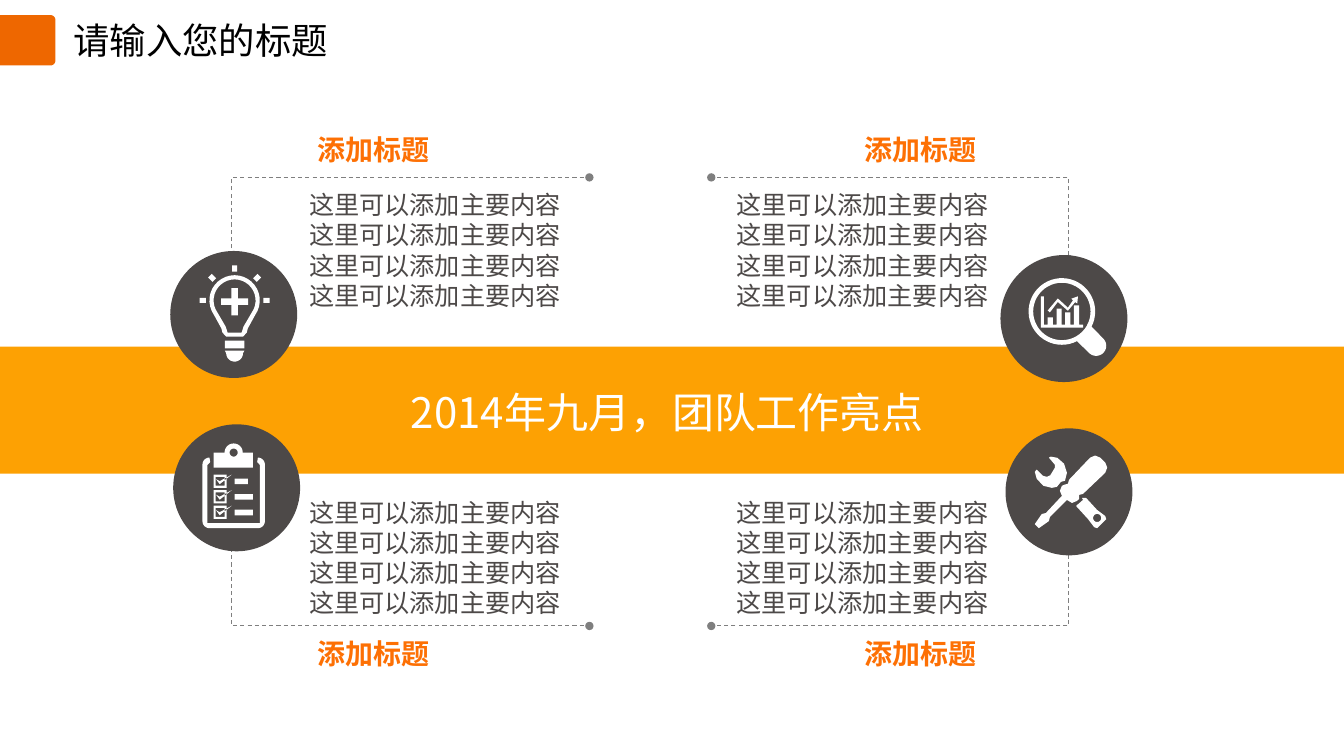
"""Build a slide of four team highlights around a central banner."""
from math import cos, radians, sin

from lxml.etree import SubElement
from pptx import Presentation
from pptx.dml.color import RGBColor
from pptx.enum.dml import MSO_LINE
from pptx.enum.shapes import MSO_SHAPE
from pptx.enum.text import PP_ALIGN
from pptx.oxml.ns import qn
from pptx.util import Pt

WHITE, BLACK, CHARCOAL, GREY = "FFFFFF", "000000", "4D4948", "7F7F7F"
AMBER, ORANGE, DEEP_ORANGE = "FDA103", "FD7004", "EE6700"
BADGE_SIZE = 90.7


def color(value):
    return RGBColor.from_string(value)


def arc(cx, cy, radius, start, end, steps=24):
    angles = [radians(start + (end - start) * i / steps) for i in range(steps + 1)]
    return [(cx + radius * cos(a), cy + radius * sin(a)) for a in angles]


def block(x, y, width, height):
    return [(x, y), (x + width, y), (x + width, y + height), (x, y + height)]


def ray(cx, cy, angle, inner, outer, half):
    dx, dy = cos(radians(angle)), sin(radians(angle))
    ends = [(inner, half), (outer, half), (outer, -half), (inner, -half)]
    return [(cx + r * dx - s * dy, cy + r * dy + s * dx) for r, s in ends]


def bulb():
    glass = arc(46, 35.3, 18, 145, 395) + [
        (55.4, 55.4), (54.7, 58.3), (52, 61.2), (40, 61.2), (37.3, 58.3), (36.6, 55.4)]
    hollow = arc(46, 35.3, 15, 145, 395) + [
        (52.4, 54), (51, 58.3), (41, 58.3), (39.6, 54)]
    arm, half = 9.7, 2.3
    plus = [(46 + x, 36.2 + y) for x, y in [
        (-half, -arm), (half, -arm), (half, -half), (arm, -half),
        (arm, half), (half, half), (half, arm), (-half, arm),
        (-half, half), (-arm, half), (-arm, -half), (-half, -half)]]
    rays = [ray(46, 35.3, angle, 20.5, 25, 1.8) for angle in range(180, 361, 45)]
    return [glass, hollow, plus, block(39, 64.1, 14, 5.5),
            [(39, 71.2), (53, 71.2)] + arc(46, 73, 6, 0, 180), *rays]


def checklist():
    board = (arc(25.9, 28.8, 5, 270, 180) + arc(25.9, 69.2, 5, 180, 90)
             + arc(60.5, 69.2, 5, 90, 0) + arc(60.5, 28.8, 5, 0, -90)
             + [(60, 27), (61.9, 29), (61.9, 70.6), (24.5, 70.6), (24.5, 29), (26.4, 27)])
    clip = arc(43.2, 20.2, 6.5, 180, 360) + [
        (56.9, 20.2), (56.9, 31), (28.8, 31), (28.8, 20.2)]
    contours = [board, clip, arc(43.2, 20.2, 2.9, 0, 360)]
    for row, width in enumerate((9.4, 13, 13)):
        y = 36 + 11.1 * row
        tick = [(30.6, y + 3.2), (33.2, y + 4.6), (41.8, y), (33.2, y + 6.8)]
        contours += [block(28.8, y, 9.4, 9.4), block(30.3, y + 1.5, 6.4, 6.4),
                     tick, block(43.9, y + 2.8, width, 4)]
    return contours


def magnifier():
    rim = arc(43.9, 40.3, 23.8, 63, 387, 48) + arc(68.4, 64.8, 7.2, -45, 135)
    bars = [block(33.8 + 6.25 * i, top, 3.6, 49.7 - top)
            for i, top in enumerate((44.6, 38.2, 41, 36))]
    trend = [(33.8, 39.6), (41, 31), (48.2, 37.6), (51.8, 32.4), (50.6, 31.2),
             (55.4, 29.5), (54.9, 34.6), (53.4, 33.6), (48.2, 39.8), (41, 33.5), (35.3, 41)]
    return [rim, arc(43.9, 40.3, 20.5, 0, 360, 48), block(28.8, 29.5, 2.2, 22.3),
            block(31, 49.7, 28, 2.1), trend, *bars]


def tools():
    screwdriver = [
        (71.3, 24.5), (67.7, 20.9), (64.1, 19.4), (60.5, 20.9), (45.4, 36.7), (44.6, 39.6),
        (41.8, 40.3), (40.3, 41), (38.9, 44.6), (40.3, 48.2), (28.8, 60.5), (25.9, 61.2),
        (20.9, 68.4), (23.8, 71.3), (31, 66.2), (31.7, 63.4), (43.9, 51.1), (47.5, 53.3),
        (51.1, 51.8), (52.6, 50.4), (52.6, 47.5), (55.4, 46.8), (71.3, 31.7), (72.7, 28)]
    wrench_head = [
        (39.6, 38.2), (42.5, 37.4), (43.2, 34.6), (43.9, 31.7), (41.8, 25.2), (37, 21),
        (32.4, 20.2), (31, 20.9), (35.3, 26), (35.3, 28.1), (32, 33.5), (29.5, 34.6),
        (26.6, 33.8), (22.3, 29.5), (20.9, 31), (22.3, 36), (27, 41), (33.1, 42.5),
        (36.7, 41.8)]
    wrench_grip = [
        (54.7, 49.7), (55.4, 51.1), (50.4, 55.4), (59, 64.8), (63.4, 70.6), (65.5, 71.3),
        (72, 64.8), (71.3, 62.6), (65.5, 58.3), (57.6, 49.7)]
    return [screwdriver, wrench_head, wrench_grip, arc(65.5, 64, 2.9, 0, 360)]


class HighlightSlide:
    """Holds the style and the current slide, and draws each kind of element."""

    font = "Noto Sans CJK SC"

    def __init__(self, deck):
        self.shapes = deck.slides.add_slide(deck.slide_layouts[6]).shapes

    def paint(self, shape, fill):
        shape.shadow.inherit = False
        shape.fill.solid()
        shape.fill.fore_color.rgb = color(fill)
        shape.line.fill.background()

    def solid(self, preset, x, y, width, height, fill):
        self.paint(self.shapes.add_shape(preset, Pt(x), Pt(y), Pt(width), Pt(height)), fill)

    def trace(self, contours, x=0, y=0, close=True):
        placed = [[(Pt(x + px), Pt(y + py)) for px, py in contour] for contour in contours]
        builder = self.shapes.build_freeform(*placed[0][0], scale=1.0)
        builder.add_line_segments(placed[0][1:], close=close)
        for contour in placed[1:]:
            builder.move_to(*contour[0])
            builder.add_line_segments(contour[1:], close=close)
        return builder.convert_to_shape()

    def outline(self, contours, fill, x=0, y=0):
        self.paint(self.trace(contours, x, y), fill)

    def leader(self, points):
        bend = self.trace([points], close=False)
        bend.shadow.inherit = False
        bend.fill.background()
        bend.line.color.rgb = color(GREY)
        bend.line.width = Pt(0.75)
        bend.line.dash_style = MSO_LINE.DASH
        for end in ("a:headEnd", "a:tailEnd"):
            SubElement(bend.line._get_or_add_ln(), qn(end), type="oval")

    def badge(self, x, y, icon):
        self.solid(MSO_SHAPE.OVAL, x, y, BADGE_SIZE, BADGE_SIZE, CHARCOAL)
        self.outline(icon, WHITE, x, y)

    def text(self, words, x, y, width, height, size, ink,
             bold=False, align=PP_ALIGN.LEFT, wrap=True):
        frame = self.shapes.add_textbox(Pt(x), Pt(y), Pt(width), Pt(height)).text_frame
        frame.word_wrap = wrap
        frame.text = words
        paragraph = frame.paragraphs[0]
        paragraph.alignment = align
        for run in paragraph.runs:
            run.font.size = Pt(size)
            run.font.bold = bold
            run.font.color.rgb = color(ink)
            run.font.name = self.font
            SubElement(run.font._element, qn("a:ea"), typeface=self.font)


def main():
    deck = Presentation()
    deck.slide_width, deck.slide_height = Pt(960.48), Pt(540)
    page = HighlightSlide(deck)

    page.text("请输入您的标题", 45.4, 9.4, 196.6, 38.9, 26, BLACK, wrap=False)
    page.outline([[(0, 10.8)] + arc(36, 14.4, 3.6, -90, 0)
                  + arc(36, 43.2, 3.6, 0, 90) + [(0, 46.8)]], DEEP_ORANGE)

    for start_y, bend_y in ((185, 126.7), (388.8, 447.1)):
        for outer_x, inner_x in ((165.6, 421.2), (763.9, 508.3)):
            page.leader([(outer_x, start_y), (outer_x, bend_y), (inner_x, bend_y)])

    page.solid(MSO_SHAPE.RECTANGLE, 0, 247.7, 960.48, 90.7, AMBER)
    page.text("2014年九月，团队工作亮点", 286.6, 272.9, 390.2, 43.2, 30, WHITE, wrap=False)

    page.badge(121.7, 179.3, bulb())
    page.badge(123.8, 303.1, checklist())
    page.badge(715, 182.2, magnifier())
    page.badge(718.6, 306, tools())

    for heading_y, body_y in ((91.4, 131.8), (451.4, 351.4)):
        for heading_x, body_x, align in ((219.6, 213.8, PP_ALIGN.LEFT),
                                         (566.6, 509, PP_ALIGN.RIGHT)):
            page.text("添加标题", heading_x, heading_y, 138.6, 31.7, 20, ORANGE,
                      bold=True, align=align)
            page.text("这里可以添加主要内容" * 4, body_x, body_y, 204.5, 93.6, 18, CHARCOAL,
                      align=align)

    deck.save("out.pptx")


if __name__ == "__main__":
    main()
